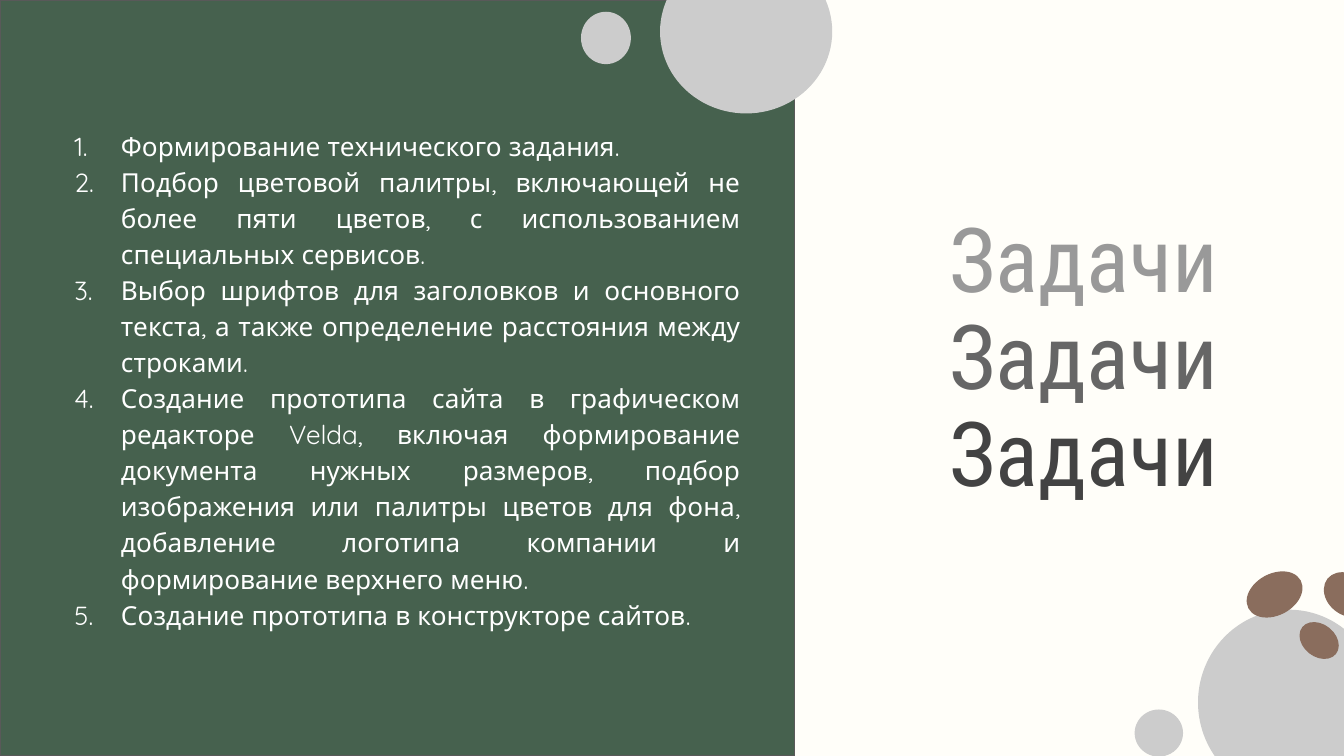
from lxml import etree
from pptx import Presentation
from pptx import util as u
from pptx.dml.color import RGBColor
from pptx.enum import shapes, text
from pptx.oxml.ns import qn

THEME = {
    "background": "F5EDE2", "cream": "FFFEF9", "green": "46614E",
    "border": "595959", "gray": "CCCCCC", "brown": "8A6D5D", "white": "FFFFFF",
    "heading_shades": ("999999", "666666", "434343"),
    "heading_font": "Roboto Condensed", "heading_size": 48, "heading_spacing": 0.9,
    "body_font": "Quicksand", "body_size": 14, "body_spacing": 1.15,
    "outline": 0.75, "inset": 7.2,
}
SLIDE = (720, 405)
SPLIT = 425.5

HEADING = "Задачи"
TASKS = [
    "Формирование технического задания.",
    "Подбор цветовой палитры, включающей не более пяти цветов, "
    "с использованием специальных сервисов.",
    "Выбор шрифтов для заголовков и основного текста, "
    "а также определение расстояния между строками.",
    "Создание прототипа сайта в графическом редакторе Velda, включая "
    "формирование документа нужных размеров, подбор изображения или палитры "
    "цветов для фона, добавление логотипа компании и формирование верхнего меню.",
    "Создание прототипа в конструкторе сайтов.",
]

# (left, top, width, height), fill, line
PANELS = [
    ((SPLIT, 0, SLIDE[0] - SPLIT, SLIDE[1]), "cream", "cream"),
    ((0, 0, SPLIT, SLIDE[1]), "green", "border"),
]
# (left, top, width, height), fill, rotation
SPOTS = [
    ((354, -26.6, 91.5, 87), "gray", 0),
    ((311.6, 6.7, 26, 27.3), "gray", 0),
    ((642.2, 327, 96.5, 98.6), "gray", 0),
    ((608.2, 380.5, 25.2, 24.5), "gray", 0),
    ((711.4, 305.3, 20.9, 26.6), "brown", 308.9),
    ((672, 303, 21.6, 31), "brown", 61.8),
    ((698.4, 332, 16.6, 22.3), "brown", 308.6),
]
TASKS_BOX = (21.6, 60.2, 382.3, 284.4)
HEADING_BOX = (501.2, 108.2, 203, 140.4)


def rgb(name):
    return RGBColor.from_string(THEME.get(name, name))


def add_figure(slide, kind, box, fill, line, rotation=0):
    figure = slide.shapes.add_shape(kind, *map(u.Pt, box))
    figure.shadow.inherit = False
    figure.fill.solid()
    figure.fill.fore_color.rgb = rgb(fill)
    figure.line.color.rgb = rgb(line)
    figure.line.width = u.Pt(THEME["outline"])
    figure.rotation = rotation


def place(placeholder, box):
    """Move a placeholder in front of the figures and return its text frame."""
    placeholder.left, placeholder.top, placeholder.width, placeholder.height = map(u.Pt, box)
    tree = placeholder._element.getparent()
    tree.append(placeholder._element)
    frame = placeholder.text_frame
    frame.word_wrap = True
    frame.auto_size = text.MSO_AUTO_SIZE.NONE
    frame.vertical_anchor = text.MSO_ANCHOR.TOP
    frame.margin_left = frame.margin_right = u.Pt(THEME["inset"])
    frame.margin_top = frame.margin_bottom = u.Pt(THEME["inset"])
    return frame


def add_run(paragraph, words, role, color):
    run = paragraph.add_run()
    run.text = words
    run.font.name = THEME[role + "_font"]
    run.font.size = u.Pt(THEME[role + "_size"])
    run.font.color.rgb = rgb(color)


def number(paragraph):
    """Give a paragraph a hanging automatic number."""
    props = paragraph._p.get_or_add_pPr()
    props.set("marL", str(u.Pt(36)))
    props.set("indent", str(u.Pt(-25)))
    color = etree.SubElement(props, qn("a:buClr"))
    etree.SubElement(color, qn("a:srgbClr"), val=THEME["white"])
    etree.SubElement(props, qn("a:buFont"), typeface=THEME["body_font"])
    etree.SubElement(props, qn("a:buAutoNum"), type="arabicPeriod")


def main():
    deck = Presentation()
    deck.slide_width, deck.slide_height = map(u.Pt, SLIDE)
    slide = deck.slides.add_slide(deck.slide_layouts[1])
    slide.background.fill.solid()
    slide.background.fill.fore_color.rgb = rgb("background")
    heading, tasks = slide.shapes.title, slide.placeholders[1]

    for box, fill, line in PANELS:
        add_figure(slide, shapes.MSO_SHAPE.RECTANGLE, box, fill, line)
    for box, fill, rotation in SPOTS:
        add_figure(slide, shapes.MSO_SHAPE.OVAL, box, fill, fill, rotation)

    tasks_frame = place(tasks, TASKS_BOX)
    for i, task in enumerate(TASKS):
        item = tasks_frame.add_paragraph() if i else tasks_frame.paragraphs[0]
        item.alignment = text.PP_ALIGN.JUSTIFY
        item.line_spacing = THEME["body_spacing"]
        item.space_before = u.Pt(0)
        number(item)
        add_run(item, task, "body", "white")

    heading_line = place(heading, HEADING_BOX).paragraphs[0]
    heading_line.alignment = text.PP_ALIGN.LEFT
    heading_line.line_spacing = THEME["heading_spacing"]
    shades = THEME["heading_shades"]
    for shade in shades:
        gap = "" if shade == shades[-1] else " "
        add_run(heading_line, HEADING + gap, "heading", shade)

    deck.save("out.pptx")


if __name__ == "__main__":
    main()
